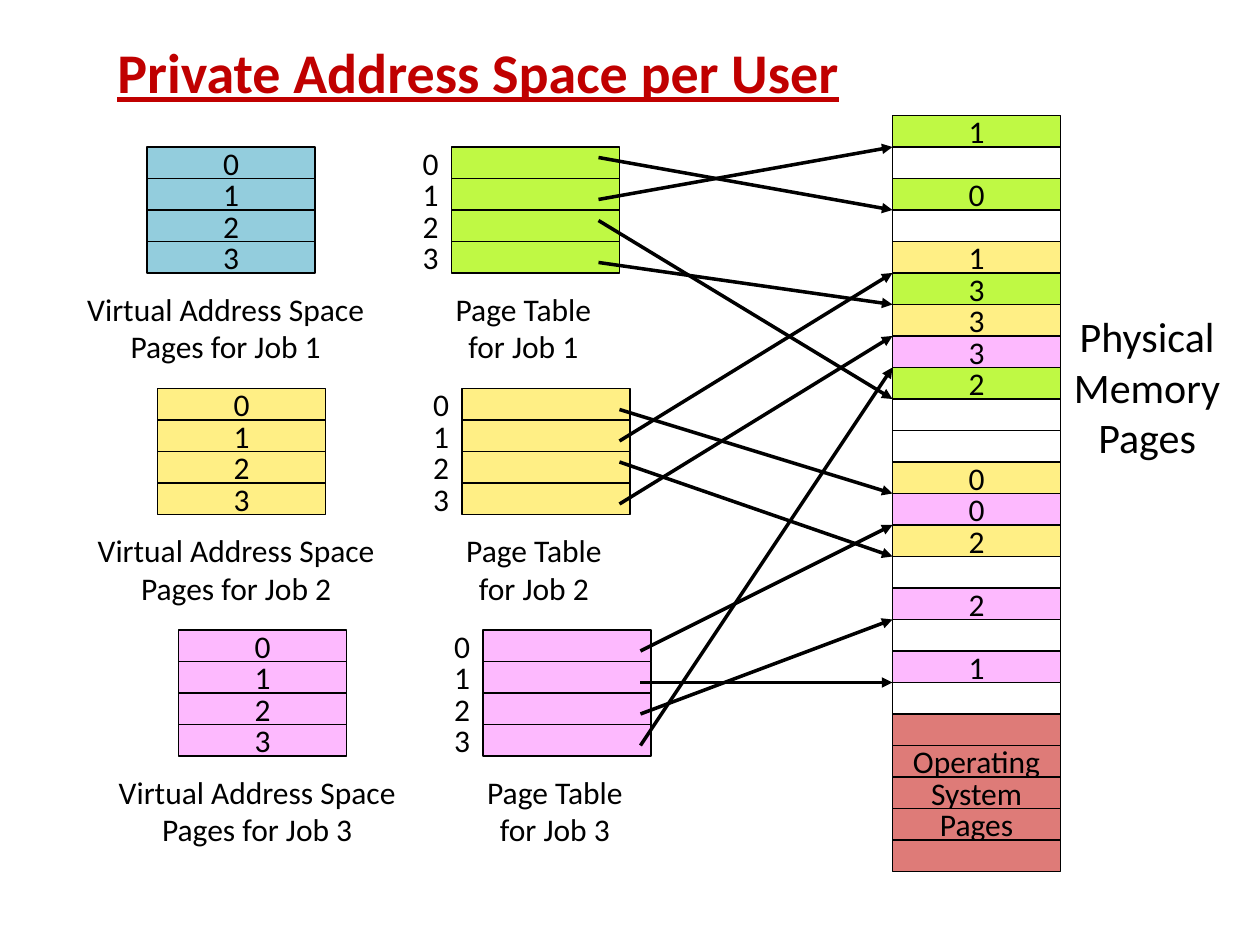
"""Build a slide that maps the private pages of three jobs onto physical memory."""
from dataclasses import dataclass
from typing import Any

from lxml.etree import SubElement
from pptx import Presentation
from pptx.dml.color import RGBColor as Rgb
from pptx.enum.shapes import MSO_CONNECTOR as Connector, MSO_SHAPE as Shape
from pptx.enum.text import MSO_ANCHOR as Anchor, PP_ALIGN as Align
from pptx.oxml.ns import qn
from pptx.util import Inches, Pt


@dataclass(frozen=True)
class Theme:
    font: str = "Calibri"
    title_size: int = 32
    memory_size: int = 24
    body_size: int = 18
    ink: str = "000000"
    title: str = "C00000"
    free: str = "FFFFFF"
    system: str = "DE7B78"
    blue: str = "93CDDD"
    green: str = "BFF944"
    yellow: str = "FFEF85"
    pink: str = "FDB9FE"


@dataclass(frozen=True)
class Job:
    number: int
    col: int
    row: int
    page_fill: str
    table_fill: str
    arrow_col: int
    arrow_rows: tuple[int, ...]
    frames: tuple[int, ...]


@dataclass(frozen=True)
class Frame:
    label: str
    fill: str


THEME = Theme()
GRID_COLS, GRID_ROWS = 120, 90
UNIT = Inches(10) / GRID_COLS
PAGE_COLS, PAGE_ROWS = 16, 3
INDEX_COLS = 4
TABLE_OFFSET = 29
MEMORY_COL, MEMORY_ROW = 85, 11
FRAME_COUNT = 24
PAGE_LABELS = ("0", "1", "2", "3")
SYSTEM_LABELS = ("", "Operating", "System", "Pages", "")
JOBS = (
    Job(1, 14, 14, THEME.blue, THEME.green, 57, (15, 19, 21, 25), (2, 0, 8, 5)),
    Job(2, 15, 37, THEME.yellow, THEME.yellow, 59, (39, 42, 44, 48), (11, 4, 13, 6)),
    Job(3, 17, 60, THEME.pink, THEME.pink, 61, (62, 65, 68, 71), (12, 17, 15, 7)),
)


def units(count: float) -> int:
    """Convert grid units to a slide length."""
    return round(count * UNIT)


def write(frame: Any, lines: tuple[str, ...], size: int = THEME.body_size,
          color: str = THEME.ink, align: Align = Align.CENTER) -> None:
    """Fill a text frame with one styled paragraph per line."""
    frame.text = "\n".join(lines)
    for paragraph in frame.paragraphs:
        paragraph.alignment = align
        font = paragraph.font
        font.name, font.size, font.color.rgb = THEME.font, Pt(size), Rgb.from_string(color)


def add_text(shapes: Any, col: float, row: float, cols: float, rows: float,
             lines: tuple[str, ...], wrap: bool = True, **style: Any) -> Any:
    """Add a text box on the grid and return its text frame."""
    frame = shapes.add_textbox(*map(units, (col, row, cols, rows))).text_frame
    frame.word_wrap = wrap
    write(frame, lines, **style)
    return frame


def center_in_cell(frame: Any) -> None:
    """Centre text in a page-high cell without margins."""
    frame.margin_left = frame.margin_right = frame.margin_top = frame.margin_bottom = 0
    frame.vertical_anchor = Anchor.MIDDLE
    frame.word_wrap = False


def add_stack(slide: Any, col: int, row: int, cells: list[Frame]) -> None:
    """Draw a grouped column of page cells."""
    shapes = slide.shapes.add_group_shape().shapes
    for position, cell in enumerate(cells):
        page = shapes.add_shape(Shape.RECTANGLE, *map(
            units, (col, row + position * PAGE_ROWS, PAGE_COLS, PAGE_ROWS)))
        page.shadow.inherit = False
        page.fill.solid()
        page.fill.fore_color.rgb = Rgb.from_string(cell.fill)
        page.line.color.rgb = Rgb.from_string(THEME.ink)
        page.line.width = Pt(1)
        if cell.label:
            center_in_cell(page.text_frame)
            write(page.text_frame, (cell.label,))


def add_indexes(slide: Any, col: int, row: int) -> None:
    """Draw the page numbers beside a page table."""
    shapes = slide.shapes.add_group_shape().shapes
    for position, label in enumerate(PAGE_LABELS):
        center_in_cell(add_text(shapes, col, row + position * PAGE_ROWS,
                                INDEX_COLS, PAGE_ROWS, (label,)))


def add_arrow(slide: Any, col: int, row: int, frame: int) -> None:
    """Draw an arrow from a table entry to the foot of a memory frame."""
    end_row = MEMORY_ROW + (frame + 1) * PAGE_ROWS
    arrow = slide.shapes.add_connector(
        Connector.STRAIGHT, *map(units, (col, row, MEMORY_COL, end_row)))
    arrow.line.color.rgb = Rgb.from_string(THEME.ink)
    arrow.line.width = Pt(2)
    SubElement(arrow.line._get_or_add_ln(), qn("a:tailEnd"), type="triangle")
    SubElement(arrow._element.spPr, qn("a:effectLst"))


def add_job(slide: Any, job: Job) -> None:
    """Draw a job's virtual pages, page table, captions and arrows."""
    table_col, caption_row = job.col + TABLE_OFFSET, job.row + 13
    add_stack(slide, job.col, job.row, [Frame(label, job.page_fill) for label in PAGE_LABELS])
    add_indexes(slide, table_col - INDEX_COLS, job.row)
    add_stack(slide, table_col, job.row, [Frame("", job.table_fill)] * len(PAGE_LABELS))
    add_text(slide.shapes, job.col - 7, caption_row, 29, 8.4,
             (f"Virtual Address Space Pages for Job {job.number}",))
    add_text(slide.shapes, table_col - 1, caption_row, 15.7, 8.4,
             ("Page Table", f"for Job {job.number}"), wrap=False)
    for row, frame in zip(job.arrow_rows, job.frames):
        add_arrow(slide, job.arrow_col, row, frame)


def memory_frames() -> list[Frame]:
    """List physical memory from the pages that each job owns."""
    frames = [Frame("", THEME.free)] * FRAME_COUNT
    for job in JOBS:
        for label, frame in zip(PAGE_LABELS, job.frames):
            frames[frame] = Frame(label, job.table_fill)
    frames[-len(SYSTEM_LABELS):] = [Frame(label, THEME.system) for label in SYSTEM_LABELS]
    return frames


def main() -> None:
    """Build and save the slide."""
    deck = Presentation()
    deck.slide_width, deck.slide_height = units(GRID_COLS), units(GRID_ROWS)
    slide = deck.slides.add_slide(deck.slide_layouts[6])
    title = add_text(slide.shapes, 10, 3, 102, 7.7, ("Private Address Space per User",),
                     size=THEME.title_size, color=THEME.title, align=Align.LEFT)
    title.paragraphs[0].font.bold = title.paragraphs[0].font.underline = True
    add_text(slide.shapes, 98.5, 29, 21.5, 15.7, ("Physical Memory", "Pages"),
             size=THEME.memory_size)
    add_stack(slide, MEMORY_COL, MEMORY_ROW, memory_frames())
    for job in JOBS:
        add_job(slide, job)
    deck.save("out.pptx")


if __name__ == "__main__":
    main()
